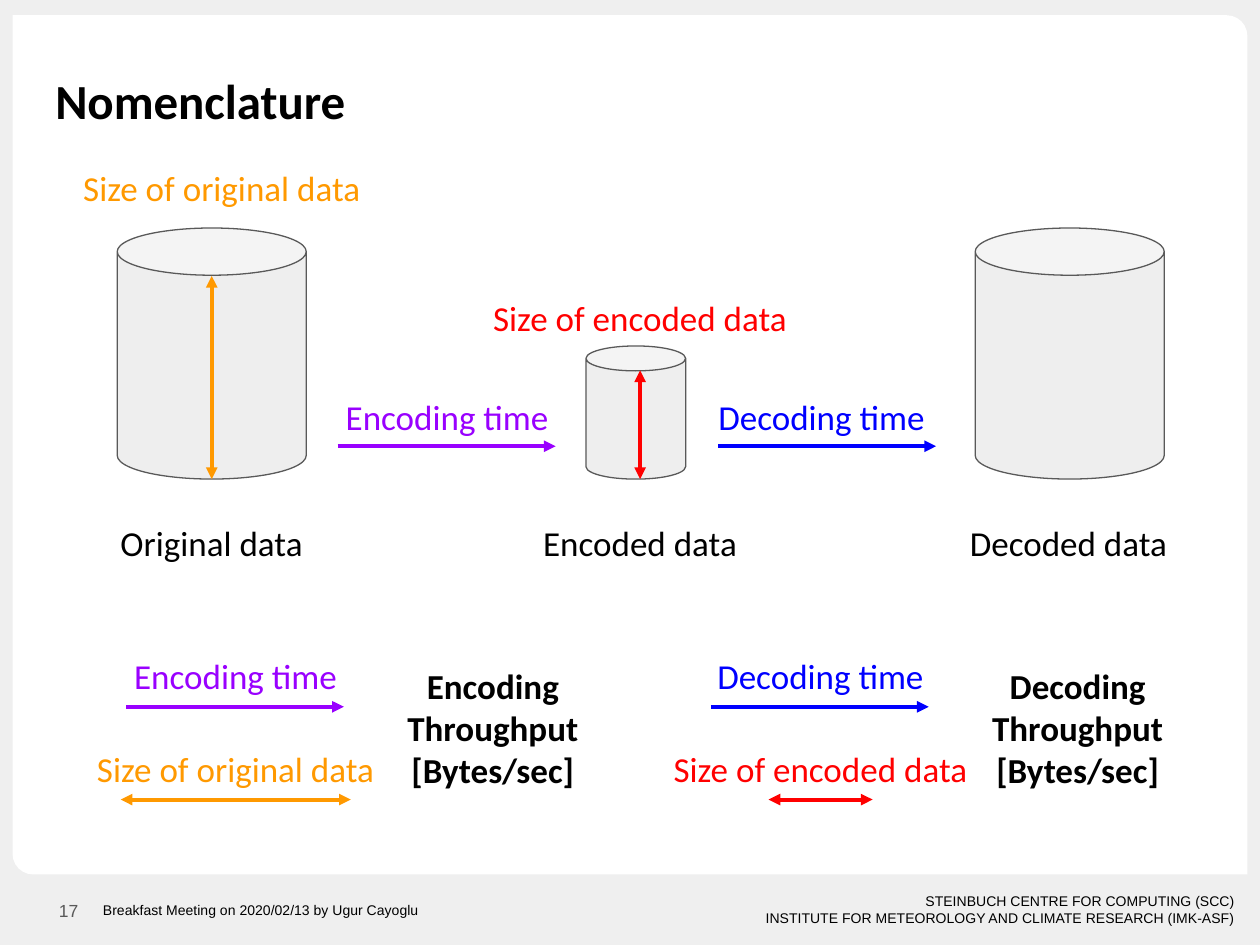
from lxml import etree
from pptx import Presentation
from pptx.dml.color import RGBColor
from pptx.enum import shapes as kinds, text as txt
from pptx.oxml.ns import qn
from pptx.util import Pt

BLACK, GREY, PANEL, CAN, BACKDROP = "000000", "595959", "FFFFFF", "EEEEEE", "EFEFEF"
PURPLE, BLUE, ORANGE, RED = "9900FF", "0000FF", "FF9900", "FF0000"
LEFT, CENTER, RIGHT = txt.PP_ALIGN.LEFT, txt.PP_ALIGN.CENTER, txt.PP_ALIGN.RIGHT


def rgb(value):
    """Return the colour for a hex string."""
    return RGBColor.from_string(value)


def add_text(shapes, content, box, size, color=BLACK, align=CENTER, font="Calibri", bold=False):
    """Add a vertically centred text box; box is left, top, width, height."""
    frame = shapes.add_textbox(*map(Pt, box)).text_frame
    frame.word_wrap = True
    frame.vertical_anchor = txt.MSO_ANCHOR.MIDDLE
    frame.margin_left = frame.margin_right = frame.margin_top = frame.margin_bottom = Pt(7.2)
    frame.text = content
    for paragraph in frame.paragraphs:
        paragraph.alignment = align
        for run in paragraph.runs:
            run.font.name, run.font.size, run.font.bold = font, Pt(size), bold
            run.font.color.rgb = rgb(color)


def add_label(shapes, content, left, top, color=BLACK, width=184.3):
    """Add a one-line centred diagram label."""
    add_text(shapes, content, (left, top, width, 28.1), 20, color)


def add_arrow(shapes, start, end, color, double=False):
    """Add a straight arrow with a head at the end, or at both ends."""
    arrow = shapes.add_connector(kinds.MSO_CONNECTOR.STRAIGHT, *map(Pt, (*start, *end)))
    arrow.line.color.rgb = rgb(color)
    arrow.line.width = Pt(2.25)
    for side in ("headEnd", "tailEnd") if double else ("tailEnd",):
        etree.SubElement(arrow.line._get_or_add_ln(), qn(f"a:{side}"), type="triangle")
    etree.SubElement(arrow._element.spPr, qn("a:effectLst"))


def add_solid(shapes, kind, box, fill, outline=None):
    """Add a filled preset shape with an optional thin outline."""
    solid = shapes.add_shape(kind, *map(Pt, box))
    solid.shadow.inherit = False
    solid.fill.solid()
    solid.fill.fore_color.rgb = rgb(fill)
    if outline:
        solid.line.color.rgb = rgb(outline)
        solid.line.width = Pt(0.75)
    else:
        solid.line.fill.background()
    return solid


def add_throughput(shapes, left, step, step_color, data, data_color, size_span):
    """Add a grouped throughput definition: time, data size and unit."""
    parts = shapes.add_group_shape().shapes
    add_arrow(parts, (left + 29.5, 403.9), (left + 154, 403.9), step_color)
    add_label(parts, f"{step} time", left, 372.2, step_color)
    middle = left + 92.2
    add_arrow(parts, (middle + size_span / 2, 456.9), (middle - size_span / 2, 456.9), data_color, True)
    add_label(parts, f"Size of {data} data", left, 425.2, data_color)
    add_text(parts, f"{step}\vThroughput\n[Bytes/sec]", (left + 165, 388, 148.3, 55.4), 20, bold=True)


def add_frame(shapes):
    """Add the white panel, the title and the footer."""
    panel = add_solid(shapes, kinds.MSO_SHAPE.ROUND_2_DIAG_RECTANGLE, (114.5, -98.6, 491, 705.6), PANEL)
    panel.rotation = 270
    panel.adjustments[0], panel.adjustments[1] = 0.024, 0
    add_text(shapes, "Nomenclature", (24.5, 38.9, 671, 36.7), 28, align=LEFT, bold=True)
    institutes = "STEINBUCH CENTRE FOR COMPUTING (SCC)\vINSTITUTE FOR METEOROLOGY AND CLIMATE RESEARCH (IMK-ASF)"
    add_text(shapes, institutes, (201.6, 499.7, 511.2, 40.3), 8, align=RIGHT, font="Arial")
    add_text(shapes, "17", (8.6, 499.7, 43.2, 41), 10, GREY, RIGHT, "Arial")
    occasion = "Breakfast Meeting on 2020/02/13 by Ugur Cayoglu"
    add_text(shapes, occasion, (51.8, 499.7, 321.1, 40.3), 8, align=LEFT, font="Arial")


def add_pipeline(shapes):
    """Add the three data stores and the steps between them."""
    stores = (
        ("Original data", 67, 130.3, 108, 46.8),
        ("Encoded data", 334.8, 197.7, 57, 291.6),
        ("Decoded data", 557.3, 130.3, 108, 536.4),
    )
    for name, left, top, width, name_left in stores:
        can = add_solid(shapes, kinds.MSO_SHAPE.CAN, (left, top, width, 273.8 - top), CAN, GREY)
        can.adjustments[0] = 0.25
        add_label(shapes, name, name_left, 295.9, width=148.3)

    steps = (("Encoding time", 193, 163.4, PURPLE), ("Decoding time", 410.4, 377.3, BLUE))
    for name, left, name_left, color in steps:
        add_arrow(shapes, (left, 255), (left + 124.5, 255), color)
        add_label(shapes, name, name_left, 223.9, color)

    sizes = (
        ("Size of original data", 121, 157.7, 34.6, 92.9, ORANGE),
        ("Size of encoded data", 365.8, 211.7, 273.6, 167.4, RED),
    )
    for name, x, top, name_left, name_top, color in sizes:
        add_arrow(shapes, (x, top), (x, 273.8), color, True)
        add_label(shapes, name, name_left, name_top, color)


def main():
    """Build and save the slide."""
    deck = Presentation()
    deck.slide_width, deck.slide_height = Pt(720), Pt(540)
    slide = deck.slides.add_slide(deck.slide_layouts[6])
    slide.background.fill.solid()
    slide.background.fill.fore_color.rgb = rgb(BACKDROP)
    add_frame(slide.shapes)
    add_pipeline(slide.shapes)
    add_throughput(slide.shapes, 42.5, "Encoding", PURPLE, "original", ORANGE, 131.5)
    add_throughput(slide.shapes, 376.7, "Decoding", BLUE, "encoded", RED, 59.5)
    deck.save("out.pptx")


if __name__ == "__main__":
    main()
